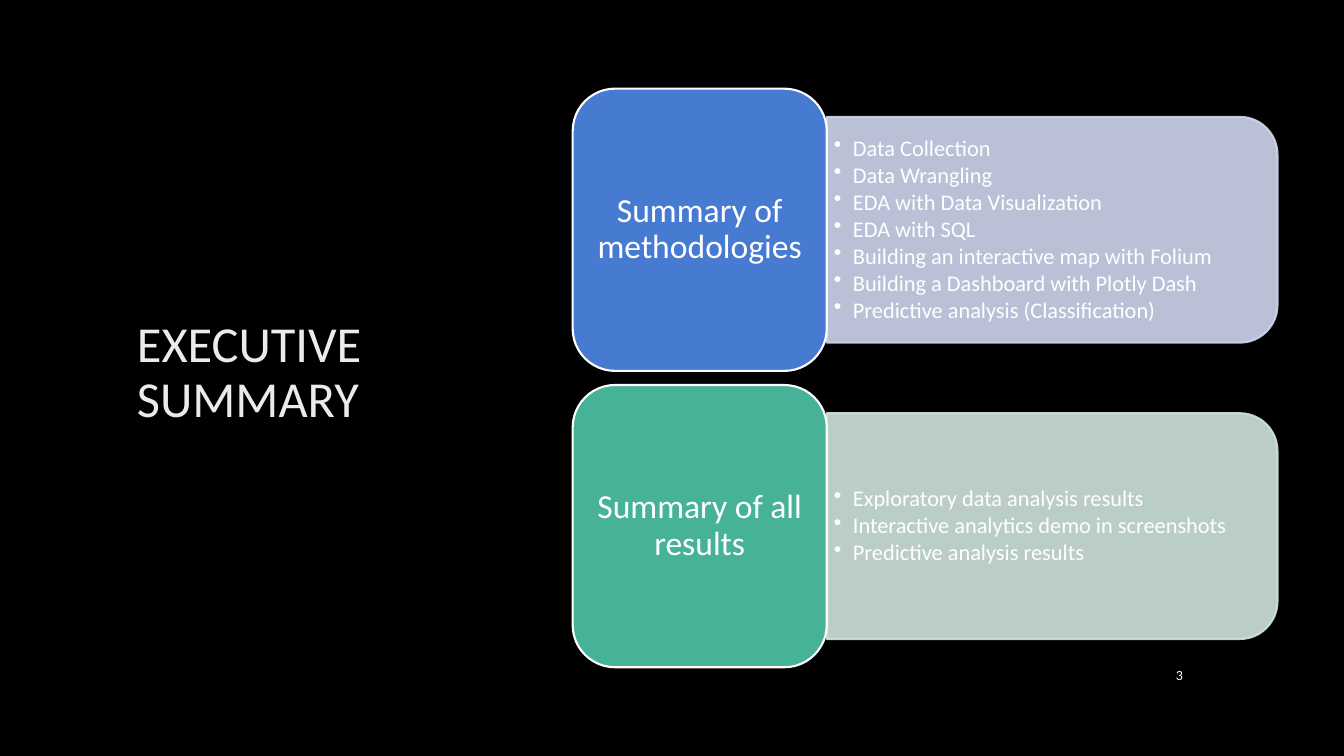
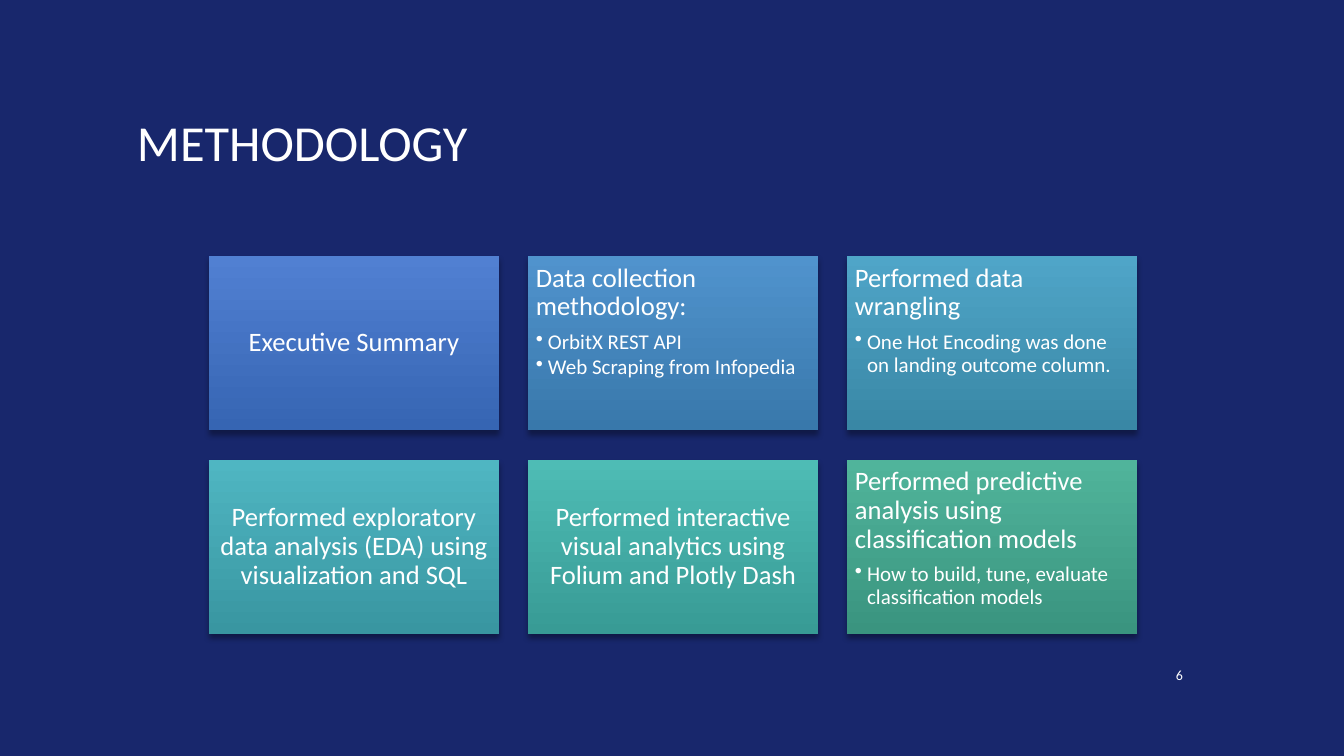
from lxml import etree
from pptx import Presentation
from pptx.dml.color import RGBColor
from pptx.enum.shapes import MSO_SHAPE
from pptx.enum.text import MSO_ANCHOR, PP_ALIGN
from pptx.oxml.ns import qn
from pptx.util import Inches, Pt

RECT = MSO_SHAPE.RECTANGLE
ROUNDED = MSO_SHAPE.ROUNDED_RECTANGLE
ROUNDED_TOP = MSO_SHAPE.ROUND_2_SAME_RECTANGLE
TOP, MIDDLE, BOTTOM = MSO_ANCHOR.TOP, MSO_ANCHOR.MIDDLE, MSO_ANCHOR.BOTTOM
LEFT, CENTER, RIGHT = PP_ALIGN.LEFT, PP_ALIGN.CENTER, PP_ALIGN.RIGHT

FONT = "Calibri"
WHITE = "FFFFFF"
BLACK = "000000"
NAVY = "18276C"
SOFT_WHITE = "EBEBEB"

# Summary rows: heading, heading colour, panel colour, points
SUMMARY_ROWS = [
    ("Summary of methodologies", "477BD1", "CFD7EE", [
        "Data Collection",
        "Data Wrangling",
        "EDA with Data Visualization",
        "EDA with SQL",
        "Building an interactive map with Folium",
        "Building a Dashboard with Plotly Dash",
        "Predictive analysis (Classification)",
    ]),
    ("Summary of all results", "46B298", "CFE4DD", [
        "Exploratory data analysis results",
        "Interactive analytics demo in screenshots",
        "Predictive analysis results",
    ]),
]

# Method cards: heading, gradient top, gradient bottom, points
METHOD_CARDS = [
    ("Executive Summary", "5180D2", "3665B3", []),
    ("Data collection methodology:", "5093CD", "3878AB",
     ["OrbitX REST API", "Web Scraping from Infopedia"]),
    ("Performed data wrangling", "4FA5C8", "3987A5",
     ["One Hot Encoding was done on landing outcome column."]),
    ("Performed exploratory data analysis (EDA) using visualization and SQL",
     "4FB6C2", "3996A1", []),
    ("Performed interactive visual analytics using Folium and Plotly Dash",
     "4EBCB5", "389B95", []),
    ("Performed predictive analysis using classification models",
     "50B49B", "3A947F",
     ["How to build, tune, evaluate classification models"]),
]


def rgb(color):
    return RGBColor.from_string(color)


# Text
def setup_frame(frame, anchor, inset_x=0.1, inset_y=0.05):
    frame.word_wrap = True
    frame.vertical_anchor = anchor
    frame.margin_left = frame.margin_right = Inches(inset_x)
    frame.margin_top = frame.margin_bottom = Inches(inset_y)


def add_paragraph(frame, text, size, color=WHITE, align=LEFT, after=6,
                  bullet_indent=None, spacing=0.9):
    first = frame.paragraphs[0]
    paragraph = frame.add_paragraph() if first.runs else first
    paragraph.add_run().text = text
    paragraph.alignment = align
    paragraph.line_spacing = spacing
    paragraph.space_after = Pt(after)
    if bullet_indent:
        props = paragraph._p.get_or_add_pPr()
        props.set("marL", str(Inches(bullet_indent)))
        props.set("indent", str(-Inches(bullet_indent)))
        etree.SubElement(props, qn("a:buChar")).set("char", "•")
    paragraph.font.name = FONT
    paragraph.font.size = Pt(size)
    paragraph.font.color.rgb = rgb(color)


def add_text_box(slide, left, top, width, height, anchor, **insets):
    box = slide.shapes.add_textbox(
        Inches(left), Inches(top), Inches(width), Inches(height))
    setup_frame(box.text_frame, anchor, **insets)
    return box.text_frame


# Shapes
def add_block(slide, kind, left, top, width, height):
    block = slide.shapes.add_shape(
        kind, Inches(left), Inches(top), Inches(width), Inches(height))
    block.shadow.inherit = False
    return block


def fill_and_outline(block, fill, line):
    block.fill.solid()
    block.fill.fore_color.rgb = rgb(fill)
    block.line.color.rgb = rgb(line)
    block.line.width = Pt(1.5)


def set_alpha(color_element, percent):
    alpha = etree.SubElement(color_element, qn("a:alpha"))
    alpha.set("val", str(percent * 1000))


def add_drop_shadow(block):
    effects = block._element.spPr.find(qn("a:effectLst"))
    shadow = etree.SubElement(
        effects, qn("a:outerShdw"), blurRad=str(Pt(4)), dist=str(Pt(3)),
        dir="5400000", algn="ctr", rotWithShape="0")
    color = etree.SubElement(shadow, qn("a:srgbClr"), val=BLACK)
    set_alpha(color, 35)


# Shared slide parts
def add_slide(prs, background, title, number, title_color, title_width,
              title_height):
    slide = prs.slides.add_slide(prs.slide_layouts[6])
    slide.background.fill.solid()
    slide.background.fill.fore_color.rgb = rgb(background)
    title_frame = add_text_box(
        slide, 1.26, 1.06, title_width, title_height, MIDDLE)
    add_paragraph(title_frame, title, 36, title_color)
    number_frame = add_text_box(slide, 11.23, 6.42, 0.6, 0.41, BOTTOM)
    add_paragraph(number_frame, number, 10, align=RIGHT, spacing=1.0)
    return slide


# Summary row: a panel of points with its heading block at the left
def add_summary_row(slide, top, heading, color, panel_color, points):
    left, width, height = 5.68, 2.52, 2.8
    panel_left, panel_width, panel_height = left + width, 4.47, 2.24
    middle = top + height / 2

    # The panel is a top-rounded shape turned a quarter to the right
    panel = add_block(
        slide, ROUNDED_TOP,
        panel_left + (panel_width - panel_height) / 2,
        middle - panel_width / 2, panel_height, panel_width)
    panel.rotation = 90
    fill_and_outline(panel, panel_color, panel_color)
    for color_element in panel._element.spPr.iter(qn("a:srgbClr")):
        set_alpha(color_element, 90)

    points_frame = add_text_box(
        slide, panel_left, middle - 1.01, 4.36, 2.02, MIDDLE,
        inset_x=0.07, inset_y=0.03)
    for point in points:
        add_paragraph(points_frame, point, 16, after=2, bullet_indent=0.19)

    block = add_block(slide, ROUNDED, left, top, width, height)
    fill_and_outline(block, color, WHITE)
    setup_frame(block.text_frame, MIDDLE, inset_x=0.06)
    add_paragraph(block.text_frame, heading, 24, align=CENTER, after=8)


# Method card: centred heading alone, or heading above points
def add_method_card(slide, left, top, heading, color_top, color_bottom,
                    points):
    card = add_block(slide, RECT, left, top, 2.88, 1.73)
    card.fill.gradient()
    card.fill.gradient_angle = 270
    for stop, color in zip(card.fill.gradient_stops,
                           (color_top, color_bottom)):
        stop.color.rgb = rgb(color)
    for stop, position in zip(card.fill.gradient_stops, (0, 1)):
        stop.position = position
    card.line.fill.background()
    add_drop_shadow(card)

    frame = card.text_frame
    setup_frame(frame, TOP if points else MIDDLE, 0.08, 0.08)
    add_paragraph(frame, heading, 19, align=LEFT if points else CENTER,
                  after=7)
    for point in points:
        add_paragraph(frame, point, 15, after=2, bullet_indent=0.12)


def build_summary(prs):
    slide = add_slide(prs, BLACK, "EXECUTIVE SUMMARY", "3",
                      SOFT_WHITE, 3.22, 5.29)
    for index, row in enumerate(SUMMARY_ROWS):
        add_summary_row(slide, 0.88 + index * 2.94, *row)


def build_methodology(prs):
    slide = add_slide(prs, NAVY, "METHODOLOGY", "6", WHITE, 9.58, 0.77)
    for index, card in enumerate(METHOD_CARDS):
        row, column = divmod(index, 3)
        add_method_card(slide, 2.07 + column * 3.165, 2.54 + row * 2.02,
                        *card)


def main():
    prs = Presentation()
    prs.slide_width = Inches(13.33)
    prs.slide_height = Inches(7.5)
    build_summary(prs)
    build_methodology(prs)
    prs.save("out.pptx")


if __name__ == "__main__":
    main()
